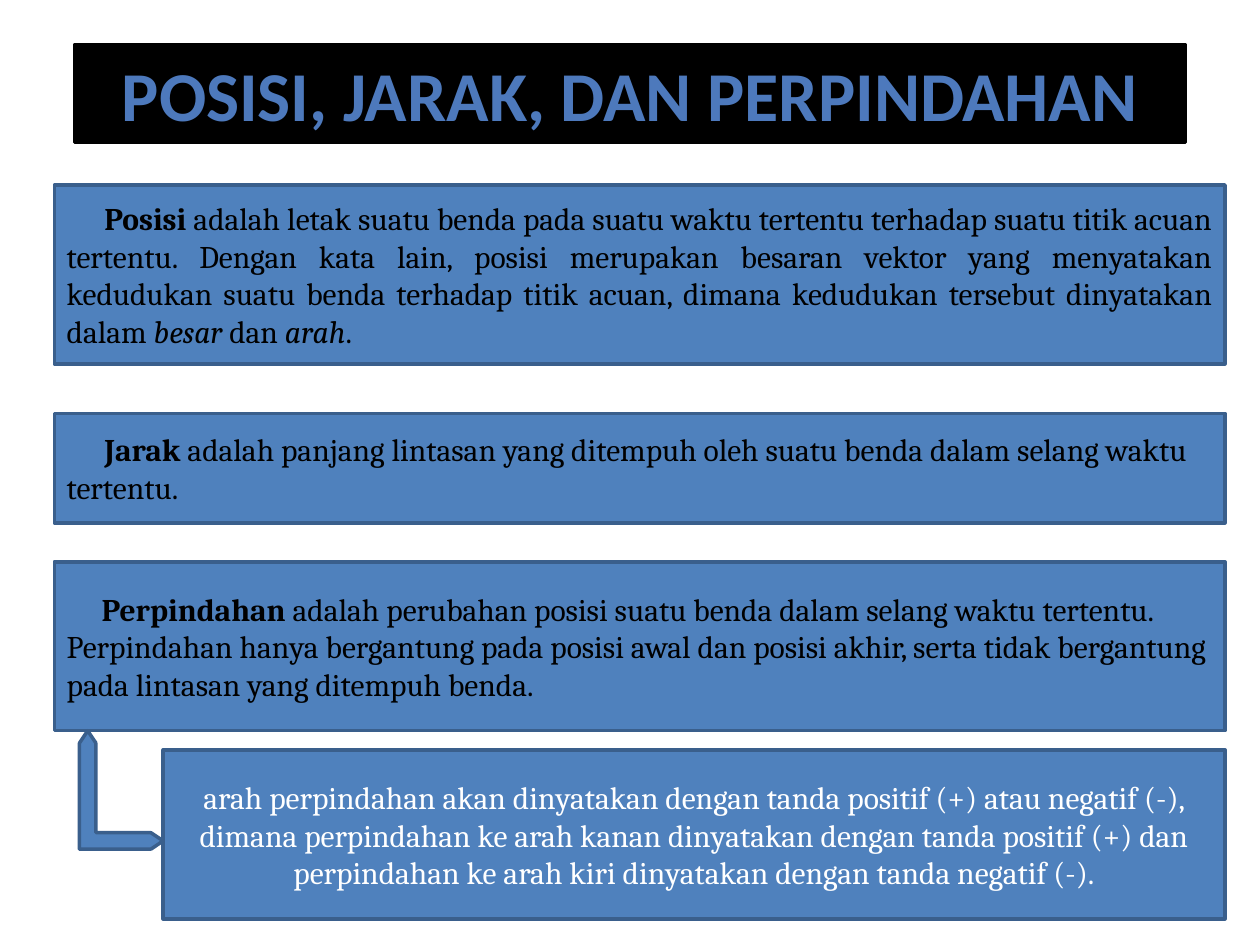
import pptx
import pptx.util
import pptx.dml.color
import pptx.enum.shapes
import pptx.enum.text

Pt = pptx.util.Pt
RGB = pptx.dml.color.RGBColor.from_string
SHAPE = pptx.enum.shapes.MSO_SHAPE
ALIGN = pptx.enum.text.PP_ALIGN
ANCHOR = pptx.enum.text.MSO_ANCHOR

THEME = {
    "black": "000000", "white": "FFFFFF", "title": "4D79BC",
    "panel": "4F81BD", "border": "3A5F8C",
    "title_font": "Calibri", "body_font": "Cambria",
    "title_size": 40, "body_size": 18, "line_width": 2,
}

TITLE = "POSISI, JARAK, DAN PERPINDAHAN"
# Runs are (text, style): "b" is bold, "i" is italic.
DEFINITIONS = [
    {"top": 105.7, "height": 102.2, "align": ALIGN.JUSTIFY, "indent": 21.6, "runs": [
        ("Posisi", "b"),
        (" adalah letak suatu benda pada suatu waktu tertentu terhadap suatu titik acuan "
         "tertentu. Dengan kata lain, posisi merupakan besaran vektor yang menyatakan "
         "kedudukan suatu benda terhadap titik acuan, dimana kedudukan tersebut dinyatakan "
         "dalam ", ""),
        ("besar", "i"), (" dan ", ""), ("arah", "i"), (".", "")]},
    {"top": 236.2, "height": 62.6, "align": ALIGN.LEFT, "indent": 21.6, "runs": [
        ("Jarak", "b"),
        (" adalah panjang lintasan yang ditempuh oleh suatu benda dalam selang waktu "
         "tertentu.", "")]},
    {"top": 321.1, "height": 96.5, "align": ALIGN.LEFT, "indent": 20, "runs": [
        ("Perpindahan ", "b"),
        ("adalah perubahan posisi suatu benda dalam selang waktu tertentu. Perpindahan "
         "hanya bergantung pada posisi awal dan posisi akhir, serta tidak bergantung pada "
         "lintasan yang ditempuh benda.", "")]},
]
DIRECTION_NOTE = (
    "arah perpindahan akan dinyatakan dengan tanda positif (+) atau negatif (-), dimana "
    "perpindahan ke arah kanan dinyatakan dengan tanda positif (+) dan perpindahan ke arah "
    "kiri dinyatakan dengan tanda negatif (-).")

PANEL_LEFT, PANEL_WIDTH = 31, 669
NOTE_LEFT, NOTE_TOP = 93.3, 428.6
ARROW_LEFT = 45.4
ARROW_ADJUSTMENTS = (0.197, 0.099, 0.148)


def add_block(slide, kind, box, fill="panel", border="border"):
    """Add a filled, outlined preset shape without a shadow."""
    block = slide.shapes.add_shape(kind, *(Pt(length) for length in box))
    block.shadow.inherit = False
    block.fill.solid()
    block.fill.fore_color.rgb = RGB(THEME[fill])
    block.line.color.rgb = RGB(THEME[border])
    block.line.width = Pt(THEME["line_width"])
    return block


def write(block, runs, color, align=ALIGN.CENTER, indent=0, role="body",
          anchor=ANCHOR.MIDDLE):
    """Write one paragraph of styled runs into a block."""
    frame = block.text_frame
    frame.word_wrap = True
    frame.vertical_anchor = anchor
    paragraph = frame.paragraphs[0]
    paragraph.alignment = align
    if indent:
        properties = paragraph._p.get_or_add_pPr()
        properties.set("marL", "0")
        properties.set("indent", str(Pt(indent)))
    paragraph.font.name = THEME[role + "_font"]
    paragraph.font.size = Pt(THEME[role + "_size"])
    paragraph.font.color.rgb = RGB(THEME[color])
    for text, style in runs:
        run = paragraph.add_run()
        run.text = text
        if style == "b":
            run.font.bold = True
        elif style == "i":
            run.font.italic = True


def build():
    """Build the slide and save it."""
    deck = pptx.Presentation()
    deck.slide_width, deck.slide_height = Pt(720), Pt(540)
    slide = deck.slides.add_slide(deck.slide_layouts[6])

    title = add_block(slide, SHAPE.RECTANGLE, (42.5, 25.7, 635, 55.7), "black", "black")
    write(title, [(TITLE, "b")], "title", role="title", anchor=ANCHOR.TOP)

    for item in DEFINITIONS:
        panel = add_block(slide, SHAPE.RECTANGLE,
                          (PANEL_LEFT, item["top"], PANEL_WIDTH, item["height"]))
        write(panel, item["runs"], "black", item["align"], item["indent"])

    last = DEFINITIONS[-1]
    note_width = PANEL_LEFT + PANEL_WIDTH - NOTE_LEFT
    note = add_block(slide, SHAPE.RECTANGLE,
                     (NOTE_LEFT, NOTE_TOP, note_width, last["height"]))
    write(note, [(DIRECTION_NOTE, "")], "white")

    arrow_top = last["top"] + last["height"]
    arrow = add_block(slide, SHAPE.LEFT_UP_ARROW,
                      (ARROW_LEFT, arrow_top, NOTE_LEFT - ARROW_LEFT, 67.7))
    for index, value in enumerate(ARROW_ADJUSTMENTS):
        arrow.adjustments[index] = value
    arrow._element.spPr.xfrm.set("flipH", "1")

    deck.save("out.pptx")


build()
